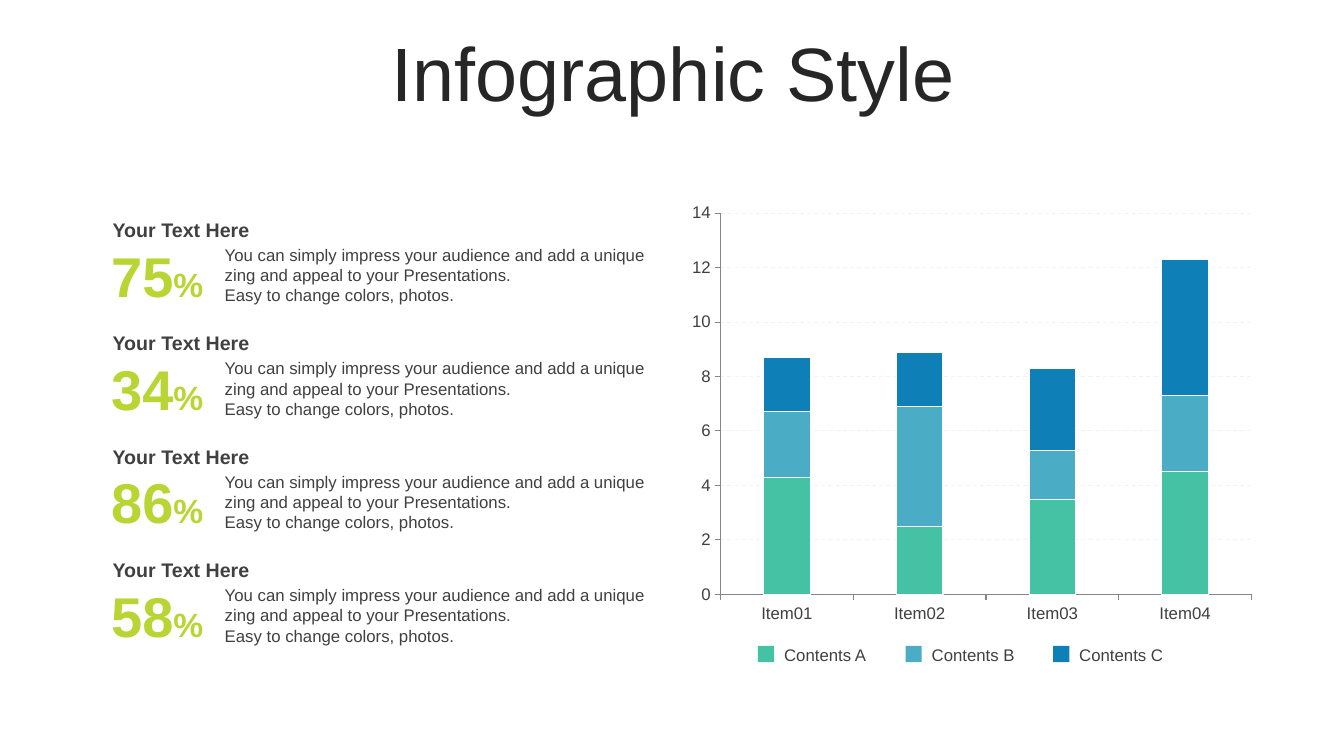
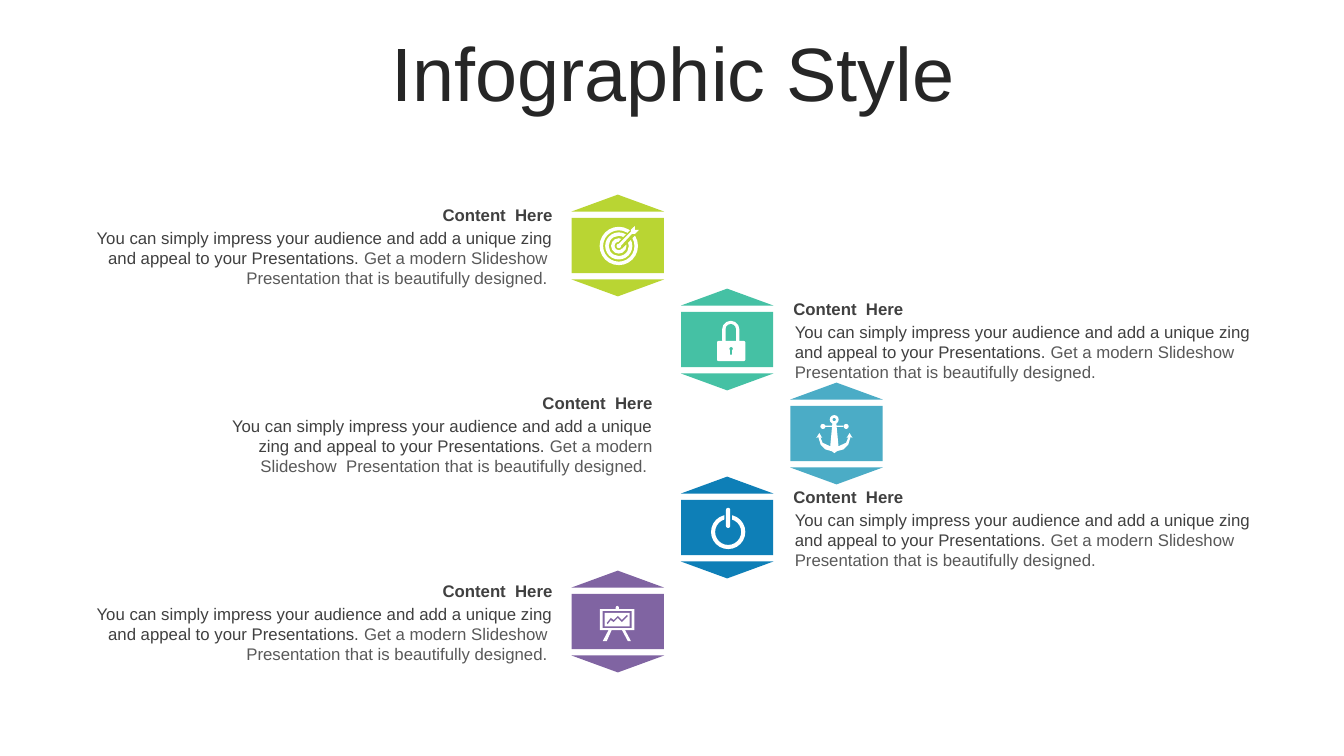
from pptx import Presentation
from pptx.chart.data import CategoryChartData
from pptx.dml.color import RGBColor
from pptx.enum.chart import XL_CHART_TYPE, XL_TICK_MARK
from pptx.enum.dml import MSO_LINE
from pptx.enum.shapes import MSO_SHAPE
from pptx.enum.text import MSO_ANCHOR, PP_ALIGN
from pptx.util import Pt

# Shared style
FONT = "Arial"
rgb = RGBColor.from_string
WHITE, TITLE, DARK, GRAY = "FFFFFF", "262626", "404040", "595959"
LIME, GREEN, TEAL, BLUE, PURPLE = "B9D533", "45C1A4", "4BACC6", "0E7FB7", "8064A2"
RECT, OVAL, ROUND = MSO_SHAPE.RECTANGLE, MSO_SHAPE.OVAL, MSO_SHAPE.ROUNDED_RECTANGLE
DONUT, TRIANGLE, POLYGON = MSO_SHAPE.DONUT, MSO_SHAPE.ISOSCELES_TRIANGLE, "polygon"


def add_part(shapes, kind, geometry, color, adj=None, dx=0, dy=0):
    """Add a flat shape: a preset from x, y, w, h or a polygon from points."""
    if kind == POLYGON:
        points = [(Pt(x + dx), Pt(y + dy)) for x, y in geometry]
        builder = shapes.build_freeform(*points[0])
        builder.add_line_segments(points[1:])
        sp = builder.convert_to_shape()
    else:
        x, y, w, h = geometry
        sp = shapes.add_shape(kind, Pt(x + dx), Pt(y + dy), Pt(w), Pt(h))
    if adj is not None:
        sp.adjustments[0] = adj
    sp.shadow.inherit = False
    sp.fill.solid()
    sp.fill.fore_color.rgb = rgb(color)
    sp.line.fill.background()
    return sp


def add_text(s, x, y, w, h, paragraphs, align=PP_ALIGN.LEFT, anchor=MSO_ANCHOR.TOP):
    """Add a text box; each paragraph is a list of (text, size, color, bold)."""
    sp = s.shapes.add_textbox(Pt(x), Pt(y), Pt(w), Pt(h))
    tf = sp.text_frame
    tf.word_wrap = True
    tf.vertical_anchor = anchor
    for i, runs in enumerate(paragraphs):
        p = tf.add_paragraph() if i else tf.paragraphs[0]
        p.alignment = align
        for text, size, color, bold in runs:
            r = p.add_run()
            r.text = text
            r.font.name = FONT
            r.font.size = Pt(size)
            r.font.bold = bold
            r.font.color.rgb = rgb(color)
    return tf


prs = Presentation()
prs.slide_width, prs.slide_height = Pt(960), Pt(540)

# Both slides with their title
slides = []
for _ in range(2):
    s = prs.slides.add_slide(prs.slide_layouts[5])
    sp = s.shapes.title
    sp.left, sp.top, sp.width, sp.height = Pt(25.2), Pt(26.6), Pt(911.5), Pt(56.9)
    tf = sp.text_frame
    tf.vertical_anchor = MSO_ANCHOR.MIDDLE
    p = tf.paragraphs[0]
    p.alignment = PP_ALIGN.CENTER
    p.line_spacing = 0.9
    p.space_before = Pt(10)
    r = p.add_run()
    r.text = "Infographic Style"
    r.font.name = FONT
    r.font.size = Pt(54)
    r.font.color.rgb = rgb(TITLE)
    slides.append(s)

INTRO = "You can simply impress your audience and add a unique zing and appeal to your Presentations."

# Slide 1: percentages
s = slides[0]
for i, number in enumerate(["75", "34", "86", "58"]):
    y = 152 + 81 * i
    tf = add_text(s, 71.3, y + 20, 82, 48.5,
                  [[(number, 40, LIME, True), ("%", 24, LIME, True)]],
                  PP_ALIGN.CENTER, MSO_ANCHOR.MIDDLE)
    tf.margin_left = tf.margin_right = tf.margin_top = tf.margin_bottom = 0
    add_text(s, 73.4, y, 299, 24.5, [[("Your Text Here", 14, DARK, True)]])
    add_text(s, 153.4, y + 19.3, 315.4, 51,
             [[(INTRO, 12, DARK, False)],
              [("Easy to change colors, photos.", 12, DARK, False)]])

# Slide 1: stacked columns
data = CategoryChartData()
data.categories = ["Item01", "Item02", "Item03", "Item04"]
data.add_series("Series 1", (4.3, 2.5, 3.5, 4.5))
data.add_series("Series 2", (2.4, 4.4, 1.8, 2.8))
data.add_series("Series 3", (2, 2, 3, 5))
chart = s.shapes.add_chart(XL_CHART_TYPE.COLUMN_STACKED, Pt(486), Pt(139.7),
                           Pt(416.2), Pt(311), data).chart
chart.has_legend = False
chart.has_title = False
chart.font.name = FONT
chart.font.size = Pt(12)
chart.font.color.rgb = rgb(DARK)
plot = chart.plots[0]
plot.gap_width, plot.overlap = 185, 100
plot.vary_by_categories = False
SERIES_COLORS = [GREEN, TEAL, BLUE]
for series, color in zip(plot.series, SERIES_COLORS):
    series.format.fill.solid()
    series.format.fill.fore_color.rgb = rgb(color)
    series.format.line.color.rgb = rgb(WHITE)
    series.format.line.width = Pt(0.75)
for axis in (chart.category_axis, chart.value_axis):
    axis.major_tick_mark = XL_TICK_MARK.OUTSIDE
    axis.minor_tick_mark = XL_TICK_MARK.NONE
    axis.format.line.color.rgb = rgb("868686")
    axis.format.line.width = Pt(0.75)
axis = chart.value_axis
axis.minimum_scale, axis.maximum_scale, axis.major_unit = 0, 14, 2
axis.has_major_gridlines = True
grid = axis.major_gridlines.format.line
grid.color.rgb = rgb("F2F2F2")
grid.width = Pt(0.75)
grid.dash_style = MSO_LINE.DASH

# Slide 1: legend
for i, (letter, color) in enumerate(zip("ABC", SERIES_COLORS)):
    x = 541.4 + 105.4 * i
    add_part(s.shapes, RECT, (x, 461.4, 11.6, 11.6), color)
    add_text(s, x + 11.6, 456.5, 82, 21.8, [[(f"Contents {letter}", 12, DARK, False)]],
             anchor=MSO_ANCHOR.MIDDLE)

# Slide 2: icons, as (kind, geometry, is white, adjustment) from the hexagon's corner
target = [(DONUT, (33.8 - d / 2, 36.7 - d / 2, d, d), True, 2.5 / d) for d in (27.4, 19.4, 11)]
target += [
    (POLYGON, [(33.8, 33.5), (44, 23.5), (47.3, 27.2), (36.3, 38.5)], False, None),
    (OVAL, (32.2, 35.1, 3.2, 3.2), True, None),
    (POLYGON, [(45.4, 22.3), (45.4, 25.2), (48.2, 25.2), (45.4, 28.1), (43.2, 28.1),
               (35.3, 36.7), (33.8, 35.3), (42.5, 26.6), (42.5, 25.2)], True, None),
]
padlock = [
    (ROUND, (29.5, 23, 12.4, 20), True, 0.5),
    (ROUND, (32, 25.3, 7.4, 20), False, 0.5),
    (ROUND, (25.9, 37.4, 20.2, 14.4), True, 0.08),
    (OVAL, (34.7, 41.8, 2.4, 2.4), False, None),
    (RECT, (35.2, 43.5, 1.4, 3.6), False, None),
]
anchor = [
    (DONUT, (28.3, 23.2, 6.4, 6.4), True, 0.31),
    (RECT, (25, 30.8, 13, 0.9), True, None),
    (OVAL, (21.6, 29.5, 3.6, 3.6), True, None),
    (OVAL, (38.2, 29.5, 3.6, 3.6), True, None),
    (POLYGON, [(30.2, 29), (33, 29), (34.6, 46), (28.6, 46)], True, None),
    (POLYGON, [(18.7, 39.6), (20.9, 36), (23, 39.6), (21.6, 38.9), (23.2, 43), (28.4, 45.4),
               (34.8, 45.4), (40, 43), (41.7, 38.9), (40.3, 39.6), (42.5, 36), (44.6, 39.6),
               (43.2, 38.9), (41.5, 44.5), (38, 47.8), (33.5, 49), (31.7, 50.4),
               (29.7, 49), (25.3, 47.8), (21.9, 44.5), (20.2, 38.9)], True, None),
]
power = [
    (DONUT, (21.6, 27.3, 24.5, 24.5), True, 0.12),
    (RECT, (31.1, 26, 5.4, 8), False, None),
    (ROUND, (32.3, 22.3, 3, 14.4), True, 0.5),
]
easel = [
    (OVAL, (31.5, 25.2, 2.4, 3.2), True, None),
    (RECT, (20.2, 27.4, 24.8, 15.1), True, None),
    (RECT, (22.2, 29, 20.8, 12), False, None),
    (RECT, (23.6, 30.2, 18, 9.6), True, None),
    (POLYGON, [(25.2, 37.4), (28.1, 33.8), (30.2, 35.3), (33.1, 32.4), (36, 35.3),
               (39.6, 31.7), (40.3, 32.4), (36, 36.7), (33.1, 33.8), (30.2, 36.7),
               (28.1, 35.3), (25.9, 38.2)], False, None),
    (POLYGON, [(26.6, 42.3), (28.8, 42.3), (25.2, 50.4), (22.3, 50.4)], True, None),
    (POLYGON, [(36, 42.3), (38.2, 42.3), (42.5, 50.4), (40.3, 50.4)], True, None),
]

# Slide 2: hexagons with their texts, as (color, column, icon, text x, text width, align)
LEFT, RIGHT = PP_ALIGN.LEFT, PP_ALIGN.RIGHT
rows = [
    (LIME, 0, target, 59.8, 342, RIGHT),
    (GREEN, 1, padlock, 559.6, 345, LEFT),
    (TEAL, 2, anchor, 144.7, 328.5, RIGHT),
    (BLUE, 1, power, 559.6, 345, LEFT),
    (PURPLE, 0, easel, 59.8, 342, RIGHT),
]
s = slides[1]
for i, (color, column, icon, text_x, text_w, align) in enumerate(rows):
    x, y = 408.2 + 78.1 * column, 139 + 67.15 * i
    shapes = s.shapes.add_group_shape().shapes
    add_part(shapes, RECT, (x + 0.2, y + 16.6, 65.8, 39.5), color)
    add_part(shapes, TRIANGLE, (x, y, 66.2, 12.1), color)
    add_part(shapes, TRIANGLE, (x, y + 60.6, 66.2, 12.1), color).rotation = 180
    for kind, geometry, is_white, adj in icon:
        add_part(shapes, kind, geometry, WHITE if is_white else color, adj, x, y)

    body_x = text_x + (1 if align == LEFT else 0)
    tail = " " if align == RIGHT else ""
    add_text(s, text_x, y + 3.6, text_w, 21.8, [[("Content  Here", 12, DARK, True)]],
             align, MSO_ANCHOR.MIDDLE)
    add_text(s, body_x, y + 20.2, text_w, 51,
             [[(INTRO + " ", 12, DARK, False),
               ("Get a modern Slideshow  Presentation that is beautifully designed." + tail,
                12, GRAY, False)]], align)

prs.save("out.pptx")
